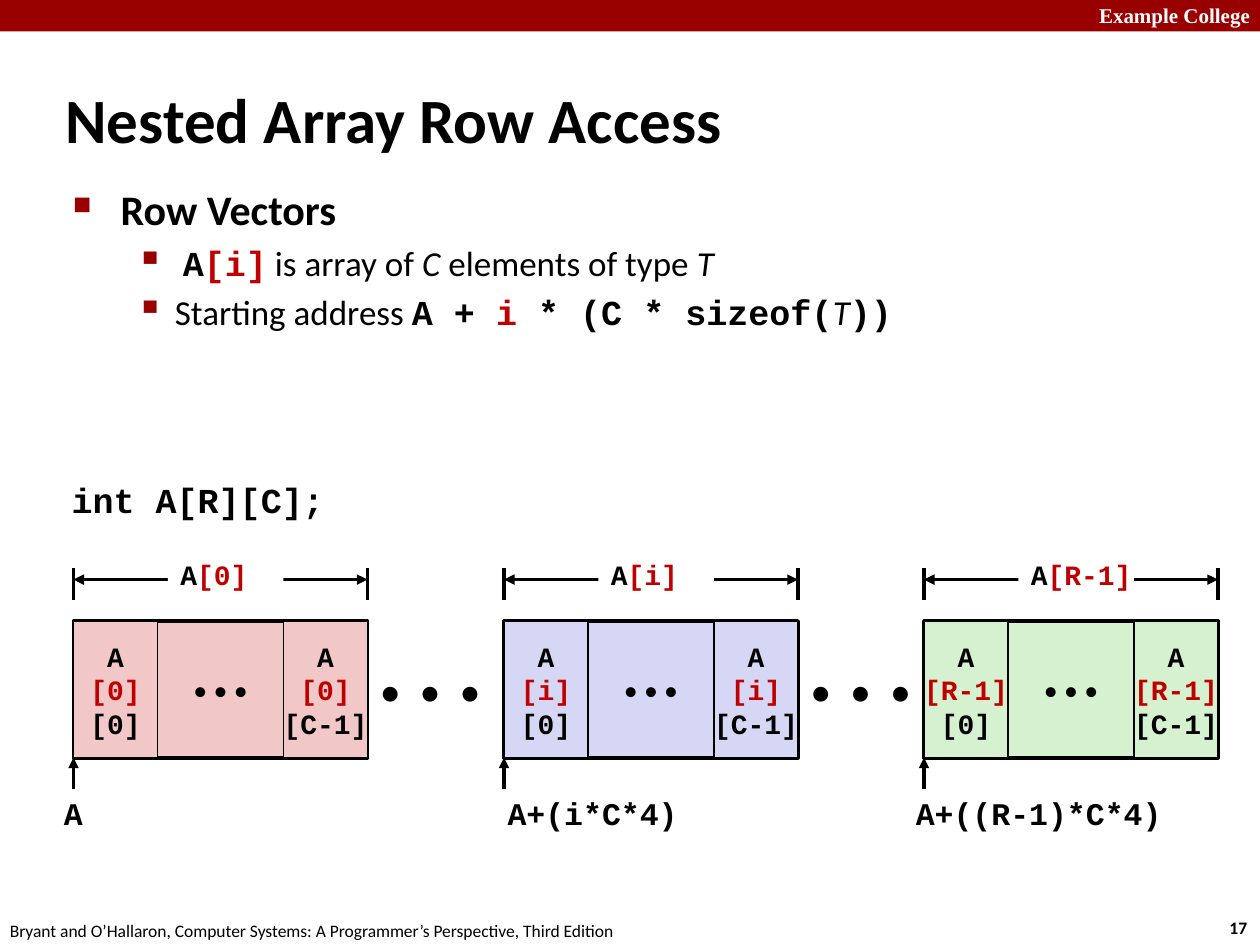
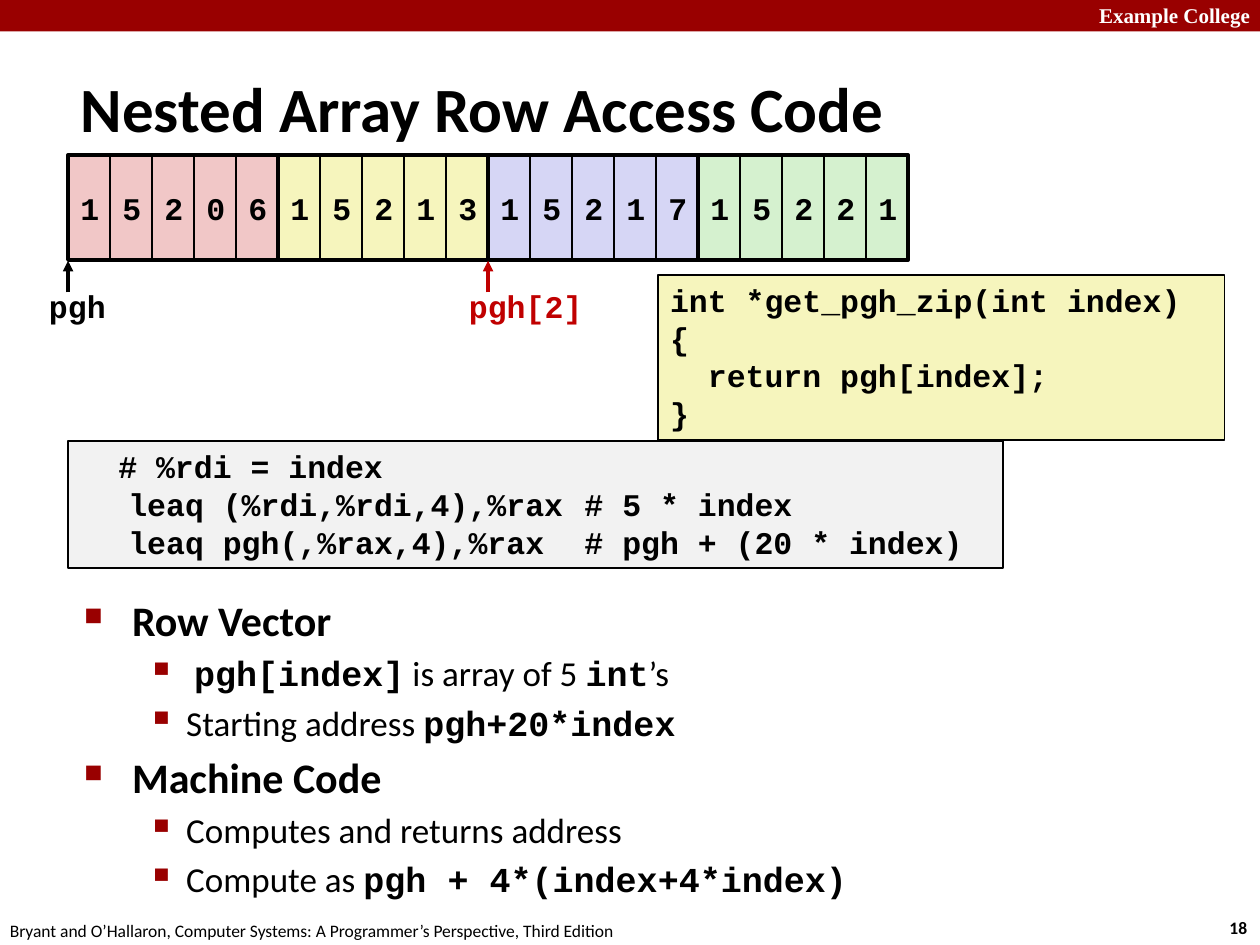
"""Build two lecture slides on row access in nested arrays."""
from pptx import Presentation
from pptx.dml.color import RGBColor
from pptx.enum.shapes import MSO_CONNECTOR, MSO_SHAPE
from pptx.enum.text import MSO_ANCHOR, PP_ALIGN
from pptx.oxml.ns import qn
from pptx.util import Inches, Pt
from lxml.etree import SubElement

W, H = 10, 7.5
U = W / 120
BLACK, RED, BAND = "000000", "C00000", "990000"
PINK, YELLOW, BLUE, GREEN, GREY = "F1C7C7", "F6F5BD", "D6D6F5", "D5F1CF", "F2F2F2"
STYLES = {
    "plain": ("Calibri", False, False, BLACK),
    "bold": ("Calibri", True, False, BLACK),
    "italic": ("Calibri", False, True, BLACK),
    "code": ("Courier New", True, False, BLACK),
    "red": ("Courier New", True, False, RED),
    "brand": ("Times New Roman", True, False, "FFFFFF"),
}
color = RGBColor.from_string


def put(s, area, paras=(), size=18, fill=None, line=None, title=False,
        align=PP_ALIGN.LEFT, anchor=MSO_ANCHOR.TOP, wrap=False):
    """Place a title, box or text; each paragraph is a list of (style, text)."""
    area = [Inches(v) for v in area]
    if title:
        sp = s.shapes.title
        sp.left, sp.top, sp.width, sp.height = area
    elif fill or line:
        sp = s.shapes.add_shape(MSO_SHAPE.RECTANGLE, *area)
        sp.shadow.inherit = False
        if fill:
            sp.fill.solid()
            sp.fill.fore_color.rgb = color(fill)
        else:
            sp.fill.background()
        if line:
            sp.line.color.rgb = color(BLACK)
            sp.line.width = Pt(line)
        else:
            sp.line.fill.background()
    else:
        sp = s.shapes.add_textbox(*area)
    tf = sp.text_frame
    tf.word_wrap, tf.vertical_anchor = wrap, anchor
    for i, runs in enumerate(paras):
        p = tf.add_paragraph() if i else tf.paragraphs[0]
        p.alignment = align
        for style, text in runs:
            r = p.add_run()
            r.text = text
            r.font.size = Pt(size)
            r.font.name, r.font.bold, r.font.italic, rgb = STYLES[style]
            r.font.color.rgb = color(rgb)
    return tf


def connect(s, x1, y1, x2, y2, rgb=BLACK, ends=()):
    """Draw a straight line with triangles at the named ends."""
    cx = s.shapes.add_connector(MSO_CONNECTOR.STRAIGHT, *[Inches(v) for v in (x1, y1, x2, y2)])
    cx.line.color.rgb = color(rgb)
    cx.line.width = Pt(2)
    for end in ends:
        SubElement(cx.line._get_or_add_ln(), qn(f"a:{end}"), type="triangle")
    SubElement(cx._element.spPr, qn("a:effectLst"))


prs = Presentation()
prs.slide_width, prs.slide_height = Inches(W), Inches(H)

pages = [
    (17, "Nested Array Row Access", (0.42, 0.62, 7.58, 0.63), (0.48, 1.41, 7.43, 1.59), [
        (0, [("bold", "Row Vectors")]),
        (1, [("plain", " "), ("code", "A"), ("red", "[i]"), ("plain", " is array of "),
             ("italic", "C"), ("plain", " elements of type "), ("italic", "T")]),
        (1, [("plain", "Starting address "), ("code", "A + "), ("red", "i"),
             ("code", " * (C * sizeof("), ("italic", "T"), ("code", "))")]),
    ]),
    (18, "Nested Array Row Access Code", (0.54, 0.54, 8.36, 0.63), (0.57, 4.67, 8.1, 2.67), [
        (0, [("bold", "Row Vector")]),
        (1, [("plain", " "), ("code", "pgh[index]"), ("plain", " is array of 5 "),
             ("code", "int"), ("plain", "’s")]),
        (1, [("plain", "Starting address "), ("code", "pgh+20*index")]),
        (0, [("bold", "Machine Code")]),
        (1, [("plain", "Computes and returns address")]),
        (1, [("plain", "Compute as "), ("code", "pgh + 4*(index+4*index)")]),
    ]),
]
LEVELS = [(24, 0.38, -0.38, "■", 60), (20, 0.81, -0.31, "▪", 110)]
BOOK = "Bryant and O’Hallaron, Computer Systems: A Programmer’s Perspective, Third Edition"

for number, title, title_area, body_area, items in pages:
    s = prs.slides.add_slide(prs.slide_layouts[5])
    put(s, (0, 0, W, H / 30), fill=BAND)
    put(s, (8.59, -0.03, 1.43, 0.3), [[("brand", "Example College")]], 12, align=PP_ALIGN.RIGHT, wrap=True)
    put(s, (9.66, 7.23, 0.37, 0.27), [[("bold", str(number))]], 10)
    put(s, (-0.02, 7.25, 5.08, 0.27), [[("plain", BOOK)]], 10)
    put(s, title_area, [[("bold", title)]], 36, title=True, anchor=MSO_ANCHOR.MIDDLE, wrap=True)
    tf = put(s, body_area, [runs for _, runs in items], wrap=True)
    for p, (level, _) in zip(tf.paragraphs, items):
        size, margin, indent, mark, percent = LEVELS[level]
        p.level = level
        p.space_before = Pt(size * 0.2)
        for r in p.runs:
            r.font.size = Pt(size)
        pPr = p._p.get_or_add_pPr()
        pPr.set("marL", str(Inches(margin)))
        pPr.set("indent", str(Inches(indent)))
        SubElement(SubElement(pPr, qn("a:buClr")), qn("a:srgbClr"), val=BAND)
        SubElement(pPr, qn("a:buSzPct"), val=str(percent * 1000))
        SubElement(pPr, qn("a:buChar"), char=mark)

s = prs.slides[0]
put(s, (0.47, 3.75, 3, 0.43), [[("code", "int A[R][C];")]], 20, wrap=True)
top, row_w, cell_w, row_h = 4.93, 28 * U, 8 * U, 13 * U
middle = {"anchor": MSO_ANCHOR.MIDDLE}
centred = {"anchor": MSO_ANCHOR.MIDDLE, "align": PP_ALIGN.CENTER}
for x in (35 * U, 76 * U):
    put(s, (x, top, row_h, row_h), [[("plain", "•  •  •")]], 24, **middle)
rows = [
    (7 * U, "[0]", PINK, "A", 0.41),
    (48 * U, "[i]", BLUE, "A+(i*C*4)", 3.93),
    (88 * U, "[R-1]", GREEN, "A+((R-1)*C*4)", 7.17),
]
for x, index, fill, address, address_x in rows:
    right, bottom = x + row_w, top + row_h
    put(s, (x, top, row_w, row_h), [[("plain", "• • •")]], 16, fill, 2.25, **centred)
    for cell_x, column in ((x, "[0]"), (right - cell_w, "[C-1]")):
        put(s, (cell_x, top, cell_w, row_h),
            [[("code", "A")], [("red", index)], [("code", column)]], 16, fill, 1, **centred)
    for tick_x in (x, right):
        connect(s, tick_x, 4.51, tick_x, 4.76)
    connect(s, x, 4.6, right, 4.6, ends=("headEnd", "tailEnd"))
    put(s, (x + 9 * U, 4.35, 11 * U, 5 * U), [[("code", "A"), ("red", index)]], 16, "FFFFFF", **middle)
    connect(s, x, bottom + 0.25, x, bottom, ends=("tailEnd",))
    put(s, (address_x, 6.25, 2.5, 0.4), [[("code", address)]])

s = prs.slides[1]
left, top, cell_w, cell_h = 0.54, 1.23, 4 * U, 10 * U
zips = [("15206", PINK), ("15213", YELLOW), ("15217", BLUE), ("15221", GREEN)]
for i, (digits, fill) in enumerate(zips):
    x = left + 5 * i * cell_w
    for j, digit in enumerate(digits):
        put(s, (x + j * cell_w, top, cell_w, cell_h), [[("code", digit)]], 18, fill, 1, **middle)
for i in range(len(zips)):
    put(s, (left + 5 * i * cell_w, top, 5 * cell_w, cell_h), line=2.25)
for i, style, label, rgb in ((0, "code", "pgh", BLACK), (2, "red", "pgh[2]", RED)):
    x = left + 5 * i * cell_w
    connect(s, x, 2.32, x, 2.07, rgb, ("tailEnd",))
    put(s, (x - 0.25, 2.23, 1.11, 0.4), [[(style, label)]])

source = ["int *get_pgh_zip(int index)", "{", "  return pgh[index];", "}"]
put(s, (5.22, 2.18, 4.5, 1.31), [[("code", t)] for t in source], 18, YELLOW, 1, wrap=True)
assembly = ["  # %rdi = index", "\tleaq (%rdi,%rdi,4),%rax\t# 5 * index",
            "\tleaq pgh(,%rax,4),%rax\t# pgh + (20 * index)"]
tf = put(s, (left, 3.5, 7.42, 1.01), [[("code", t)] for t in assembly], 18, GREY, 1, wrap=True)
for p in tf.paragraphs:
    tabs = SubElement(p._p.get_or_add_pPr(), qn("a:tabLst"))
    for stop in (0.38, 4):
        SubElement(tabs, qn("a:tab"), pos=str(Inches(stop)), algn="l")

prs.save("out.pptx")
